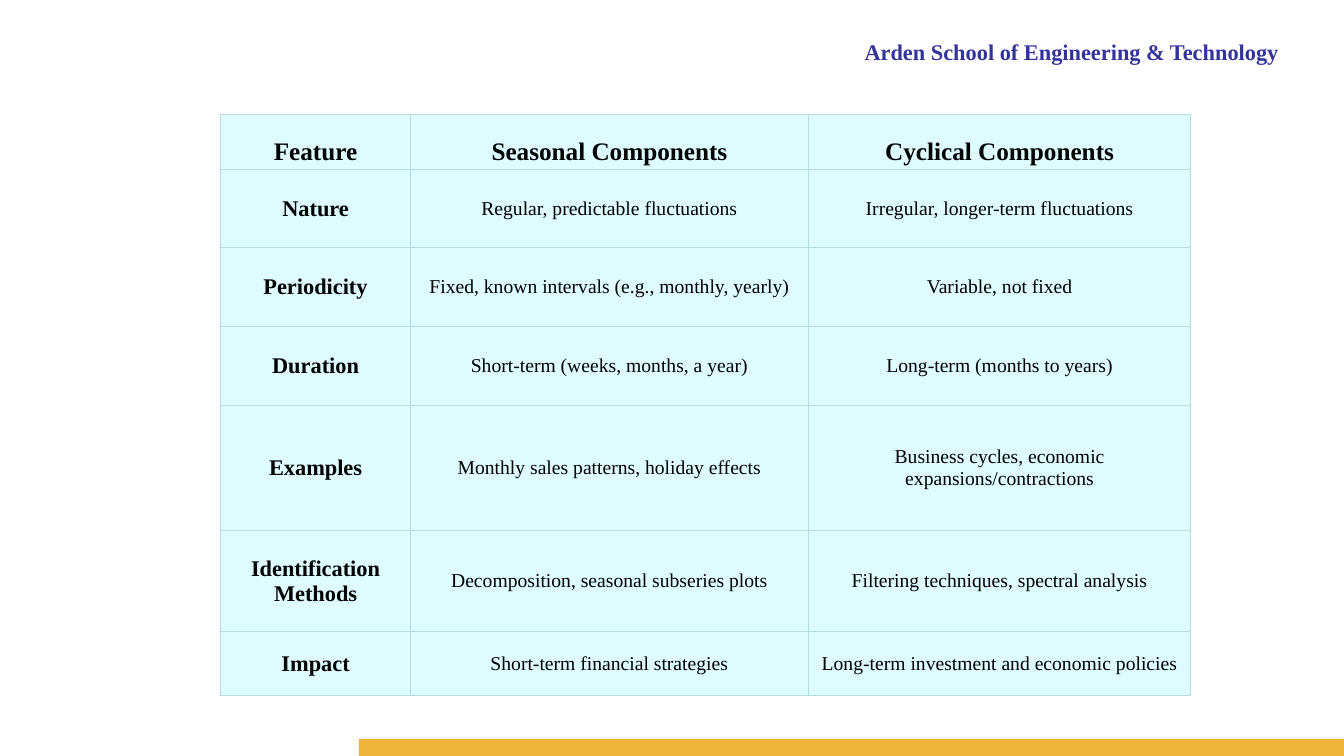
from lxml import etree
from pptx import Presentation
from pptx.dml.color import RGBColor
from pptx.enum import shapes, text
from pptx.oxml import ns
from pptx.util import Inches, Pt

FONT = "Times New Roman"
NAVY = RGBColor(0x33, 0x33, 0x99)
AMBER = RGBColor(0xF1, 0xB4, 0x3B)
ICE = RGBColor(0xDE, 0xFB, 0xFF)
TEAL = RGBColor(0xB6, 0xDC, 0xDF)
BLACK = RGBColor(0, 0, 0)

COLUMN_WIDTHS = (1.88, 3.95, 3.79)
ROW_HEIGHTS = (0.54, 0.78, 0.78, 0.78, 1.24, 1.01, 0.63)
COMPARISON = (
    ("Feature", "Seasonal Components", "Cyclical Components"),
    ("Nature", "Regular, predictable fluctuations", "Irregular, longer-term fluctuations"),
    ("Periodicity", "Fixed, known intervals (e.g., monthly, yearly)", "Variable, not fixed"),
    ("Duration", "Short-term (weeks, months, a year)", "Long-term (months to years)"),
    ("Examples", "Monthly sales patterns, holiday effects",
     "Business cycles, economic expansions/contractions"),
    ("Identification Methods", "Decomposition, seasonal subseries plots",
     "Filtering techniques, spectral analysis"),
    ("Impact", "Short-term financial strategies", "Long-term investment and economic policies"),
)


def style_paragraph(para, size, color, bold, alignment):
    """Set the alignment and font of one paragraph."""
    para.alignment = alignment
    para.font.name = FONT
    para.font.size = Pt(size)
    para.font.bold = bold
    para.font.color.rgb = color


def add_school_header(page, left, top, width, height):
    """Write the school name, right-aligned, in the given box."""
    box = page.shapes.add_textbox(Inches(left), Inches(top), Inches(width), Inches(height))
    box.text_frame.word_wrap = True
    para = box.text_frame.paragraphs[0]
    para.text = "Arden School of Engineering & Technology"
    style_paragraph(para, 16, NAVY, True, text.PP_ALIGN.RIGHT)


def add_footer_bar(page, left, top, width, height):
    """Draw the amber bar in the given box."""
    bar = page.shapes.add_shape(shapes.MSO_SHAPE.RECTANGLE, Inches(left), Inches(top),
                                Inches(width), Inches(height))
    bar.shadow.inherit = False
    bar.fill.solid()
    bar.fill.fore_color.rgb = AMBER
    bar.line.fill.background()


def add_borders(cell):
    """Draw a thin teal line on all four sides of a cell."""
    properties = cell._tc.get_or_add_tcPr()
    for index, side in enumerate(("a:lnL", "a:lnR", "a:lnT", "a:lnB")):
        line = etree.Element(ns.qn(side), w=str(Pt(0.75)))
        fill = etree.SubElement(line, ns.qn("a:solidFill"))
        etree.SubElement(fill, ns.qn("a:srgbClr"), val=str(TEAL))
        properties.insert(index, line)


def fill_cell(cell, words, is_header, is_label):
    """Write and format one cell of the comparison."""
    cell.margin_left = cell.margin_right = Inches(0.06)
    cell.margin_top = cell.margin_bottom = Inches(0.03)
    cell.vertical_anchor = text.MSO_ANCHOR.BOTTOM if is_header else text.MSO_ANCHOR.MIDDLE
    cell.fill.solid()
    cell.fill.fore_color.rgb = ICE
    add_borders(cell)
    para = cell.text_frame.paragraphs[0]
    para.text = words
    size = 18 if is_header else 16 if is_label else 14
    style_paragraph(para, size, BLACK, is_header or is_label, text.PP_ALIGN.CENTER)


def add_comparison_table(page, left, top):
    """Build the comparison table from its top left corner."""
    frame = page.shapes.add_table(len(ROW_HEIGHTS), len(COLUMN_WIDTHS), Inches(left), Inches(top),
                                  Inches(sum(COLUMN_WIDTHS)), Inches(sum(ROW_HEIGHTS)))
    table = frame.table
    table.horz_banding = False
    for column, width in zip(table.columns, COLUMN_WIDTHS):
        column.width = Inches(width)
    for row_index, (row, height) in enumerate(zip(table.rows, ROW_HEIGHTS)):
        row.height = Inches(height)
        for column_index, words in enumerate(COMPARISON[row_index]):
            fill_cell(row.cells[column_index], words, row_index == 0, column_index == 0)


def main():
    """Build and save the slide."""
    deck = Presentation()
    deck.slide_width = Inches(13.33)
    deck.slide_height = Inches(7.5)
    page = deck.slides.add_slide(deck.slide_layouts[6])
    add_school_header(page, 6, 0.33, 6.78, 0.33)
    add_footer_bar(page, 3.56, 7.33, 9.77, 0.17)
    add_comparison_table(page, 2.19, 1.14)
    deck.save("out.pptx")


if __name__ == "__main__":
    main()
